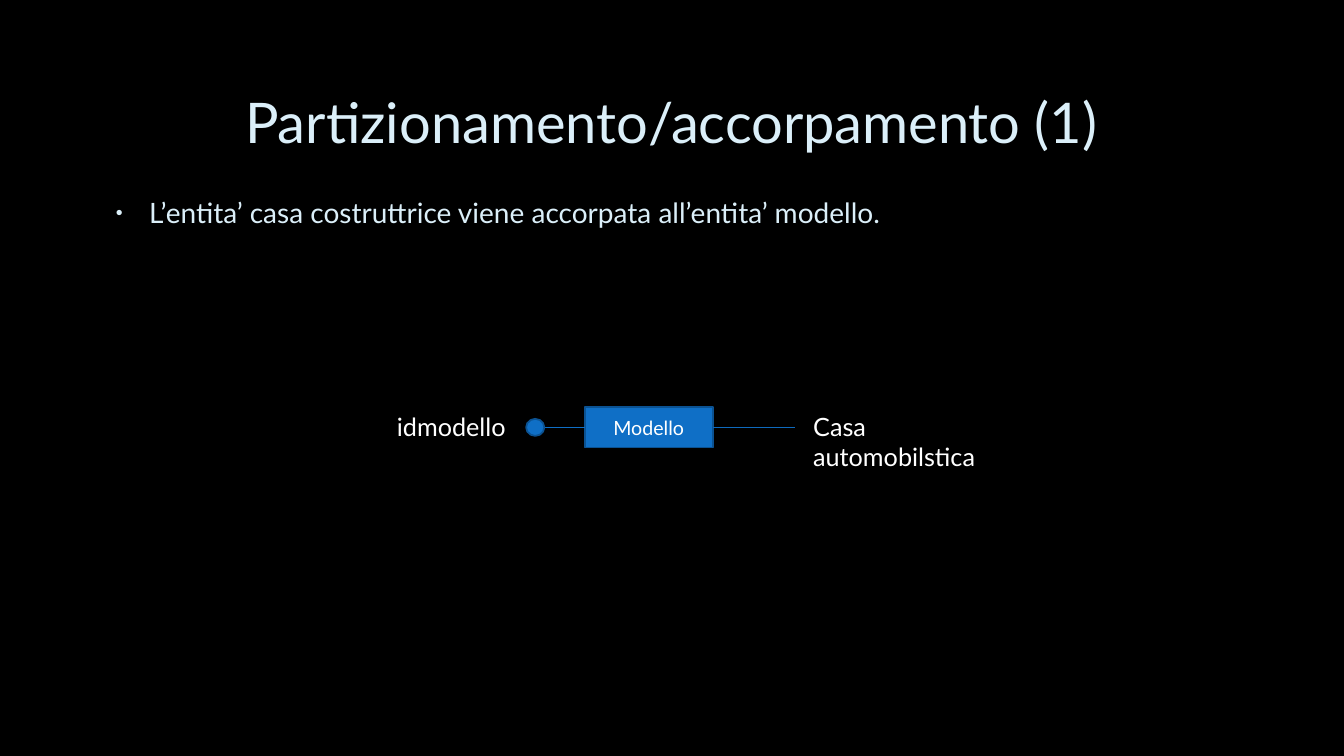
"""Builds the slide on merging the car maker entity into the model entity."""
from lxml.etree import SubElement
from pptx import Presentation
from pptx.dml.color import RGBColor
from pptx.enum.shapes import MSO_CONNECTOR, MSO_SHAPE
from pptx.enum.text import MSO_ANCHOR, PP_ALIGN
from pptx.oxml.ns import qn
from pptx.util import Pt

TITLE = "Partizionamento/accorpamento (1)"
BULLET = "L’entita’ casa costruttrice viene accorpata all’entita’ modello."
ENTITY = "Modello"
ATTRIBUTES = [("idmodello", 276.5, 94), ("Casa automobilstica", 573.8, 170.6)]

BLACK = RGBColor(0x00, 0x00, 0x00)
WHITE = RGBColor(0xFF, 0xFF, 0xFF)
PALE = RGBColor(0xDB, 0xEF, 0xF9)
BLUE = RGBColor(0x0F, 0x6F, 0xC6)
LINK_BLUE = RGBColor(0x0E, 0x6A, 0xBD)
EDGE = RGBColor(0x0B, 0x52, 0x92)
FONT = "Lato"

MARGIN, CONTENT_W = 72, 815
AXIS_Y = 305.3
ENTITY_X, ENTITY_W, ENTITY_H = 417.6, 91.6, 28.8
KEY_X, KEY_W, KEY_H = 382.3, 13, 12.2
LINK_END_X = 568.2


def write(sp, text, size, color=WHITE, align=PP_ALIGN.LEFT, anchor=MSO_ANCHOR.TOP):
    tf = sp.text_frame
    tf.word_wrap = True
    tf.vertical_anchor = anchor
    p = tf.paragraphs[0]
    p.alignment = align
    r = p.add_run()
    r.text = text
    r.font.name = FONT
    r.font.size = Pt(size)
    r.font.color.rgb = color
    return p


def add_text(s, x, y, w, h, text, size, color=WHITE):
    return write(s.shapes.add_textbox(Pt(x), Pt(y), Pt(w), Pt(h)), text, size, color)


def add_bullet(p):
    p.space_before, p.space_after = Pt(4), Pt(6)
    pPr = p._p.get_or_add_pPr()
    pPr.set("marL", str(Pt(27.4)))
    pPr.set("indent", str(-Pt(23.8)))
    color = SubElement(pPr, qn("a:buClr"))
    SubElement(color, qn("a:srgbClr"), val=str(PALE))
    SubElement(pPr, qn("a:buSzPct"), val="70000")
    SubElement(pPr, qn("a:buFont"), typeface="Arial")
    SubElement(pPr, qn("a:buChar"), char="•")


def add_node(s, kind, x, w, h):
    sp = s.shapes.add_shape(kind, Pt(x), Pt(AXIS_Y - h / 2), Pt(w), Pt(h))
    sp.shadow.inherit = False
    sp.fill.solid()
    sp.fill.fore_color.rgb = BLUE
    sp.line.color.rgb = EDGE
    sp.line.width = Pt(1.25)
    return sp


def add_link(s, entity, side, end_x, color, width):
    y = Pt(AXIS_Y)
    link = s.shapes.add_connector(MSO_CONNECTOR.STRAIGHT, Pt(end_x), y, Pt(end_x), y)
    link.begin_connect(entity, side)
    link.line.color.rgb = color
    link.line.width = Pt(width)
    SubElement(link._element.spPr, qn("a:effectLst"))


def main():
    prs = Presentation()
    prs.slide_width, prs.slide_height = Pt(960), Pt(540)
    s = prs.slides.add_slide(prs.slide_layouts[5])
    s.background.fill.solid()
    s.background.fill.fore_color.rgb = BLACK

    title = s.shapes.title
    title.left, title.top = Pt(MARGIN), Pt(48.2)
    title.width, title.height = Pt(CONTENT_W), Pt(76.3)
    write(title, TITLE, 40, PALE, PP_ALIGN.CENTER, MSO_ANCHOR.MIDDLE)
    add_bullet(add_text(s, MARGIN, 136.1, CONTENT_W, 360.7, BULLET, 20, PALE))

    entity = add_node(s, MSO_SHAPE.RECTANGLE, ENTITY_X, ENTITY_W, ENTITY_H)
    write(entity, ENTITY, 14, WHITE, PP_ALIGN.CENTER, MSO_ANCHOR.MIDDLE)
    add_link(s, entity, 1, KEY_X, BLUE, 1.25)
    add_link(s, entity, 3, LINK_END_X, LINK_BLUE, 0.75)
    add_node(s, MSO_SHAPE.OVAL, KEY_X - KEY_W / 2, KEY_W, KEY_H)
    for name, x, w in ATTRIBUTES:
        add_text(s, x, 290.2, w, 28.8, name, 18)

    prs.save("out.pptx")


if __name__ == "__main__":
    main()
